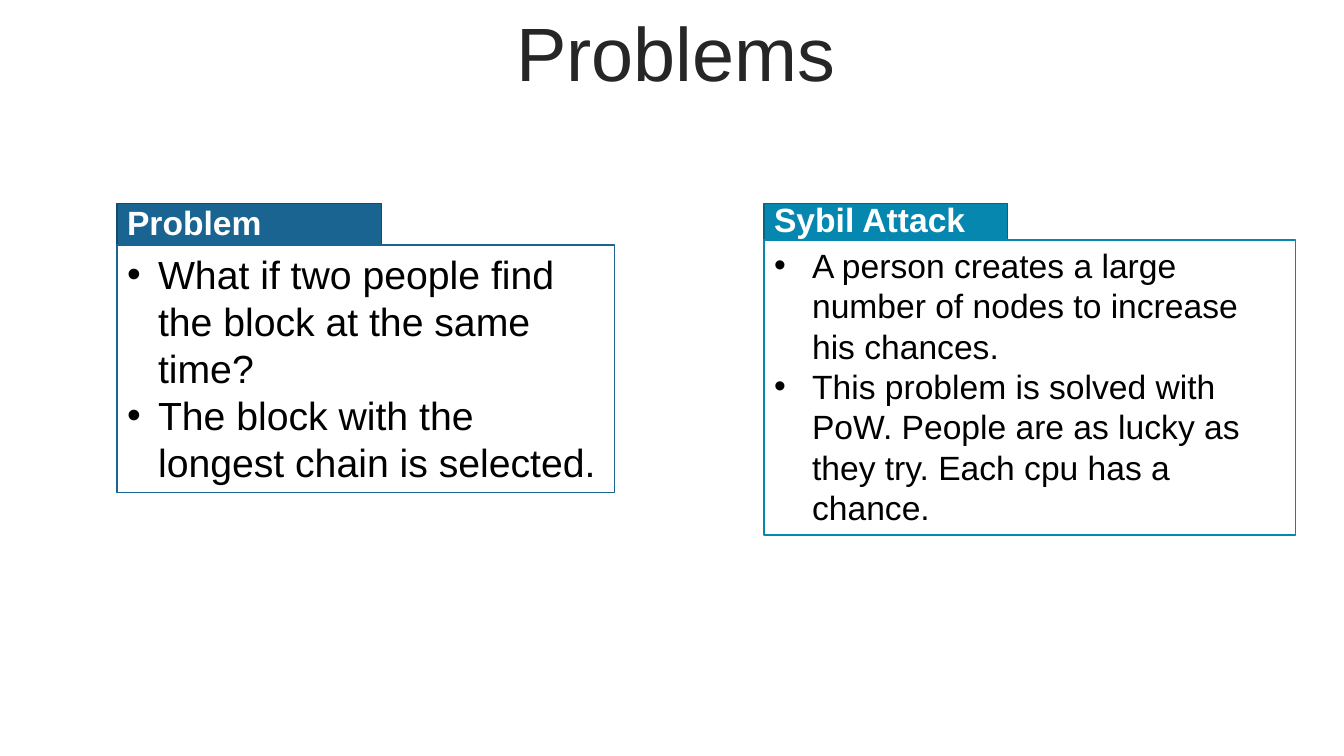
from lxml.etree import SubElement
from pptx import Presentation
from pptx.dml.color import RGBColor
from pptx.enum.text import MSO_ANCHOR, MSO_AUTO_SIZE, PP_ALIGN
from pptx.oxml.ns import qn
from pptx.util import Pt

EMU_PER_PX = 12192000 / 1344
FONT = "Arial"
WHITE = RGBColor(0xFF, 0xFF, 0xFF)
BLACK = RGBColor(0x00, 0x00, 0x00)
TITLE_GRAY = RGBColor(0x26, 0x26, 0x26)
BLUE = RGBColor(0x19, 0x64, 0x91)
BLUE_EDGE = RGBColor(0x12, 0x4A, 0x6B)
TEAL = RGBColor(0x05, 0x87, 0xAF)
TEAL_EDGE = RGBColor(0x04, 0x64, 0x81)


def px(length):
    return round(length * EMU_PER_PX)


def place(shape, left, top, width, height):
    shape.left, shape.top = px(left), px(top)
    shape.width, shape.height = px(width), px(height)


def paint(shape, fill, line):
    shape.fill.solid()
    shape.fill.fore_color.rgb = fill
    shape.line.color.rgb = line
    shape.line.width = Pt(0.75)


def set_text(shape, lines, size, color, anchor, spacing, bold=False):
    frame = shape.text_frame
    frame.text = "\n".join(lines)
    frame.word_wrap = True
    frame.auto_size = MSO_AUTO_SIZE.NONE
    frame.vertical_anchor = anchor
    for paragraph in frame.paragraphs:
        paragraph.space_before = Pt(0)
        paragraph.line_spacing = spacing
        for run in paragraph.runs:
            run.font.name = FONT
            run.font.size = Pt(size)
            run.font.bold = bold
            run.font.color.rgb = color


def add_bullet(paragraph, indent):
    properties = paragraph._p.get_or_add_pPr()
    properties.set("marL", str(px(indent)))
    properties.set("indent", str(-px(indent)))
    SubElement(properties, qn("a:buFont"), typeface=FONT)
    SubElement(properties, qn("a:buChar"), char="•")


def build_title(title, box):
    place(title, *box)
    set_text(title, ["Problems"], 54, TITLE_GRAY, MSO_ANCHOR.MIDDLE, 0.9)
    title.text_frame.paragraphs[0].alignment = PP_ALIGN.CENTER


def build_card(tab, body, box, tab_size, heading, items, size, indent, color, edge):
    """Heading tab on top of a bordered list, both inside box."""
    left, top, width, height = box
    tab_width, tab_height = tab_size

    # Heading tab
    place(tab, left, top, tab_width, tab_height)
    paint(tab, color, edge)
    set_text(tab, [heading], 24, WHITE, MSO_ANCHOR.MIDDLE, 0.9, bold=True)

    # Bulleted list
    place(body, left, top + tab_height, width, height - tab_height)
    paint(body, WHITE, color)
    set_text(body, items, size, BLACK, MSO_ANCHOR.TOP, 1.0)
    for paragraph in body.text_frame.paragraphs:
        add_bullet(paragraph, indent)


def main():
    presentation = Presentation()
    presentation.slide_width = px(1344)
    presentation.slide_height = px(756)
    comparison_layout = presentation.slide_layouts[4]
    slide = presentation.slides.add_slide(comparison_layout)
    title, left_tab, left_body, right_tab, right_body = list(slide.placeholders)[:5]

    build_title(title, (38, 17, 1276, 80))
    build_card(
        left_tab, left_body, (117, 204, 498, 289), (265, 41), "Problem",
        ["What if two people find the block at the same time?",
         "The block with the longest chain is selected."],
        28, 31, BLUE, BLUE_EDGE)
    build_card(
        right_tab, right_body, (764, 204, 532, 331), (244, 36), "Sybil Attack",
        ["A person creates a large number of nodes to increase his chances.",
         "This problem is solved with PoW. People are as lucky as they try. "
         "Each cpu has a chance."],
        24, 38, TEAL, TEAL_EDGE)

    presentation.save("out.pptx")


if __name__ == "__main__":
    main()
